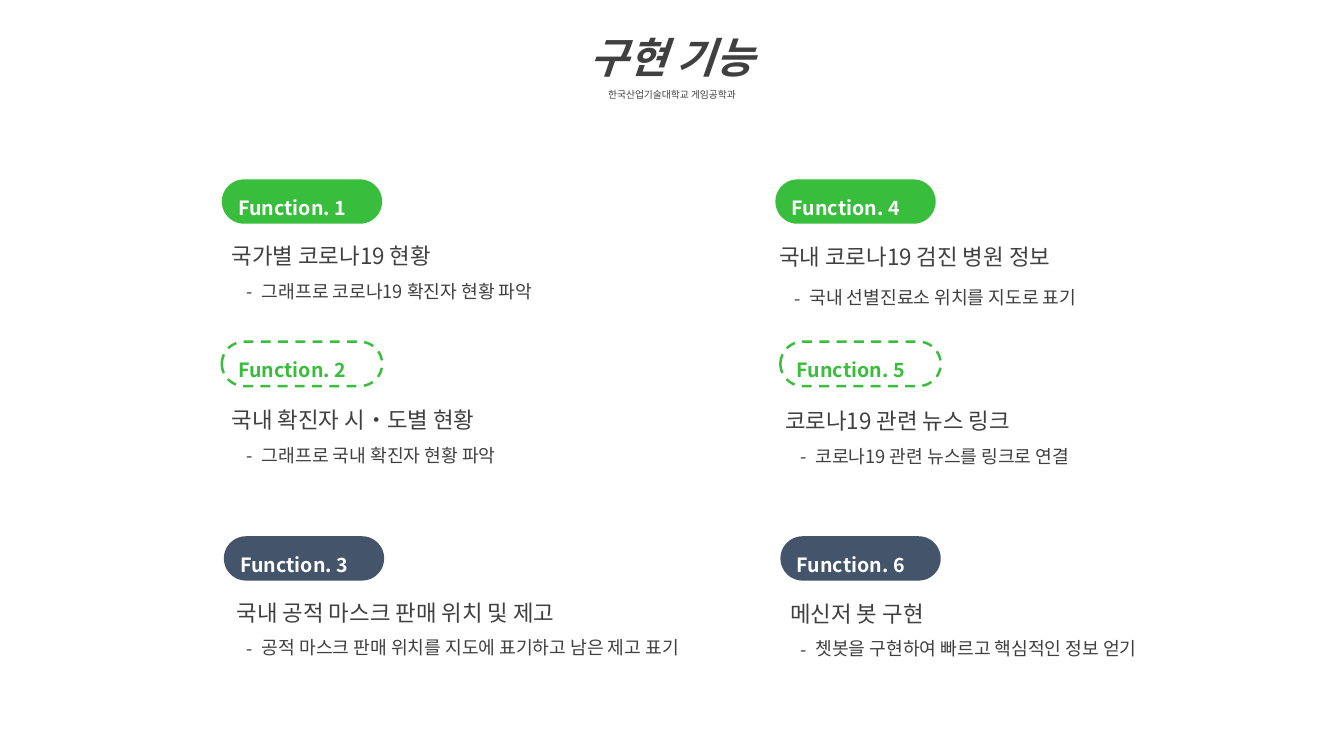
"""Build the slide that lists the six implemented functions."""
from lxml import etree
from pptx import Presentation
from pptx.dml.color import RGBColor
from pptx.enum.dml import MSO_LINE
from pptx.enum.shapes import MSO_SHAPE
from pptx.enum.text import MSO_ANCHOR, MSO_AUTO_SIZE, PP_ALIGN
from pptx.oxml.ns import qn
from pptx.util import Inches, Pt

ROUNDED = MSO_SHAPE.ROUNDED_RECTANGLE
DASH = MSO_LINE.DASH
MIDDLE = MSO_ANCHOR.MIDDLE
NO_FIT, GROW = MSO_AUTO_SIZE.NONE, MSO_AUTO_SIZE.SHAPE_TO_FIT_TEXT
LEFT, CENTER = PP_ALIGN.LEFT, PP_ALIGN.CENTER


class Theme:
    font = "Noto Sans CJK KR"
    ink = RGBColor(0x40, 0x40, 0x40)
    white = RGBColor(0xFF, 0xFF, 0xFF)
    green = RGBColor(0x39, 0xBD, 0x3D)
    slate = RGBColor(0x44, 0x54, 0x6A)
    title, subtitle, heading, detail, label = 30, 7, 16, 13, 14


def write(p, text, size, color=Theme.ink, bold=False, italic=False,
          align=LEFT, indent=0, bullet=None, before=0):
    p.alignment = align
    p.line_spacing = 1.5
    p.space_before = Pt(before)
    pPr = p._p.get_or_add_pPr()
    hanging = Inches(0.15) if bullet else 0
    pPr.set("marL", str(Inches(indent) + hanging))
    pPr.set("indent", str(-hanging))
    if bullet:
        etree.SubElement(pPr, qn("a:buFont"), typeface=Theme.font)
        etree.SubElement(pPr, qn("a:buChar"), char=bullet)
    r = p.add_run()
    r.text = text
    r.font.name = Theme.font
    r.font.size = Pt(size)
    r.font.bold = bold
    r.font.italic = italic
    r.font.color.rgb = color
    etree.SubElement(r._r.get_or_add_rPr(), qn("a:ea"), typeface=Theme.font)


prs = Presentation()
prs.slide_width, prs.slide_height = Inches(13.33), Inches(7.5)
s = prs.slides.add_slide(prs.slide_layouts[5])

title = s.shapes.title
title.left, title.top = 0, 0
title.width, title.height = prs.slide_width, Inches(1.06)
tf = title.text_frame
tf.auto_size = NO_FIT
tf.vertical_anchor = MIDDLE
write(tf.paragraphs[0], "구현 기능", Theme.title, bold=True, italic=True, align=CENTER)
write(tf.add_paragraph(), "한국산업기술대학교 게임공학과", Theme.subtitle, align=CENTER)

PILL_ROWS = [(1.78, Theme.green, True), (3.39, Theme.green, False),
             (5.32, Theme.slate, True)]

# pill left, text left, top, width, heading indent, detail gap, heading, detail
FUNCTIONS = [
    (2.2, 2.2, 2.22, 4.08, 0, 0, "국가별 코로나19 현황", "그래프로 코로나19 확진자 현황 파악"),
    (2.2, 2.2, 3.85, 4.08, 0, 0, "국내 확진자 시•도별 현황", "그래프로 국내 확진자 현황 파악"),
    (2.22, 2.2, 5.76, 5.3, 0.05, 0, "국내 공적 마스크 판매 위치 및 제고",
     "공적 마스크 판매 위치를 지도에 표기하고 남은 제고 표기"),
    (7.69, 7.63, 2.23, 4.45, 0, 4, "국내 코로나19 검진 병원 정보", "국내 선별진료소 위치를 지도로 표기"),
    (7.74, 7.69, 3.86, 4.08, 0, 0, "코로나19 관련 뉴스 링크", "코로나19 관련 뉴스를 링크로 연결"),
    (7.74, 7.69, 5.77, 4.52, 0.05, 0, "메신저 봇 구현",
     "쳇봇을 구현하여 빠르고 핵심적인 정보 얻기"),
]

for i, (pill_x, x, y, w, indent, gap, heading, detail) in enumerate(FUNCTIONS):
    box = s.shapes.add_textbox(Inches(x), Inches(y), Inches(w), Inches(0.83))
    tf = box.text_frame
    tf.word_wrap = True
    tf.auto_size = GROW
    write(tf.paragraphs[0], heading, Theme.heading, indent=indent)
    write(tf.add_paragraph(), detail, Theme.detail, indent=0.15, bullet="-", before=gap)

    pill_y, color, solid = PILL_ROWS[i % len(PILL_ROWS)]
    pill = s.shapes.add_shape(ROUNDED, Inches(pill_x), Inches(pill_y),
                              Inches(1.59), Inches(0.44))
    pill.adjustments[0] = 0.5
    pill.shadow.inherit = False
    if solid:
        pill.fill.solid()
        pill.fill.fore_color.rgb = color
        pill.line.fill.background()
    else:
        pill.fill.background()
        pill.line.color.rgb = color
        pill.line.width = Pt(1.75)
        pill.line.dash_style = DASH
    tf = pill.text_frame
    tf.word_wrap = True
    tf.vertical_anchor = MIDDLE
    write(tf.paragraphs[0], f"Function. {i + 1}", Theme.label,
          color=Theme.white if solid else color, bold=True)

prs.save("out.pptx")
